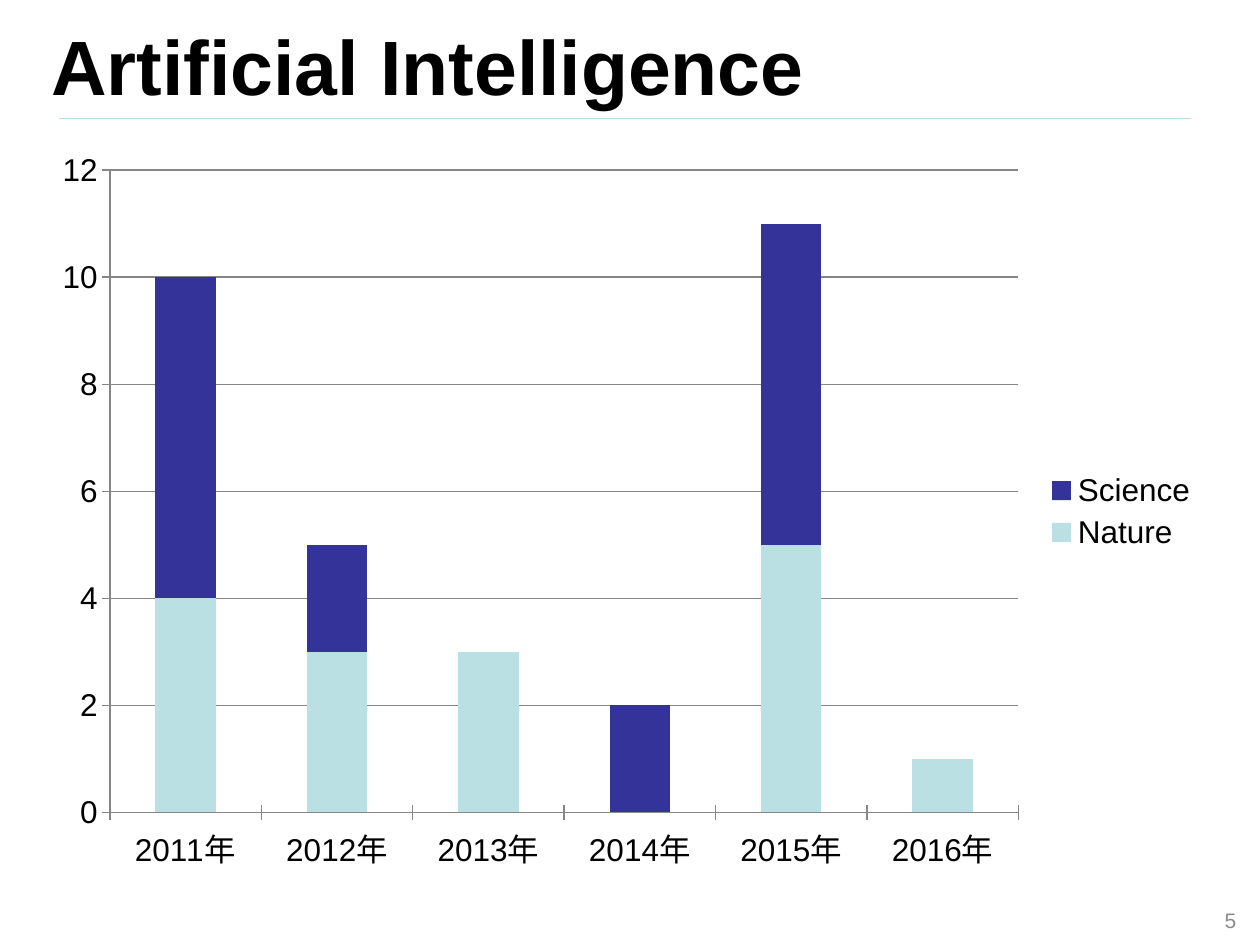
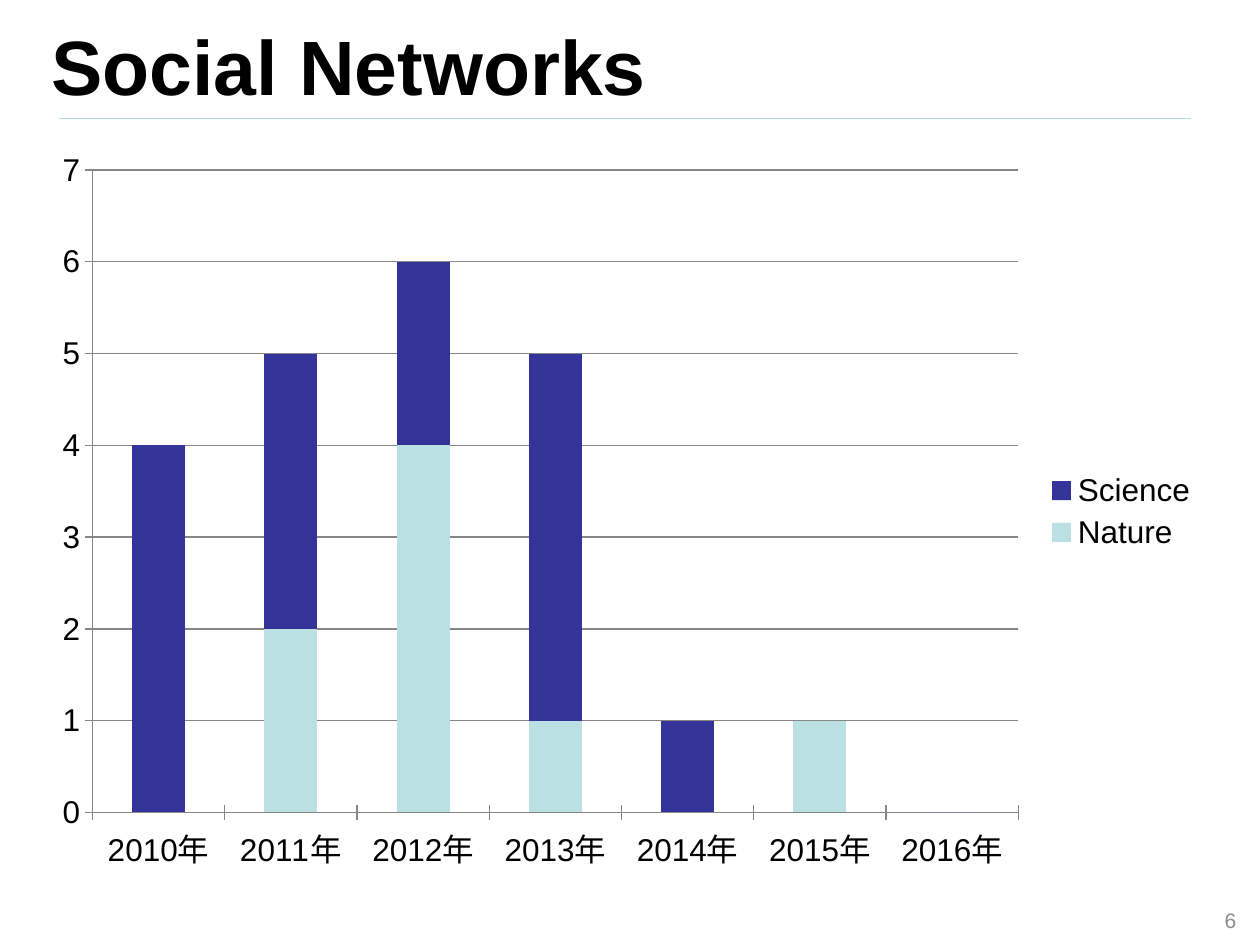
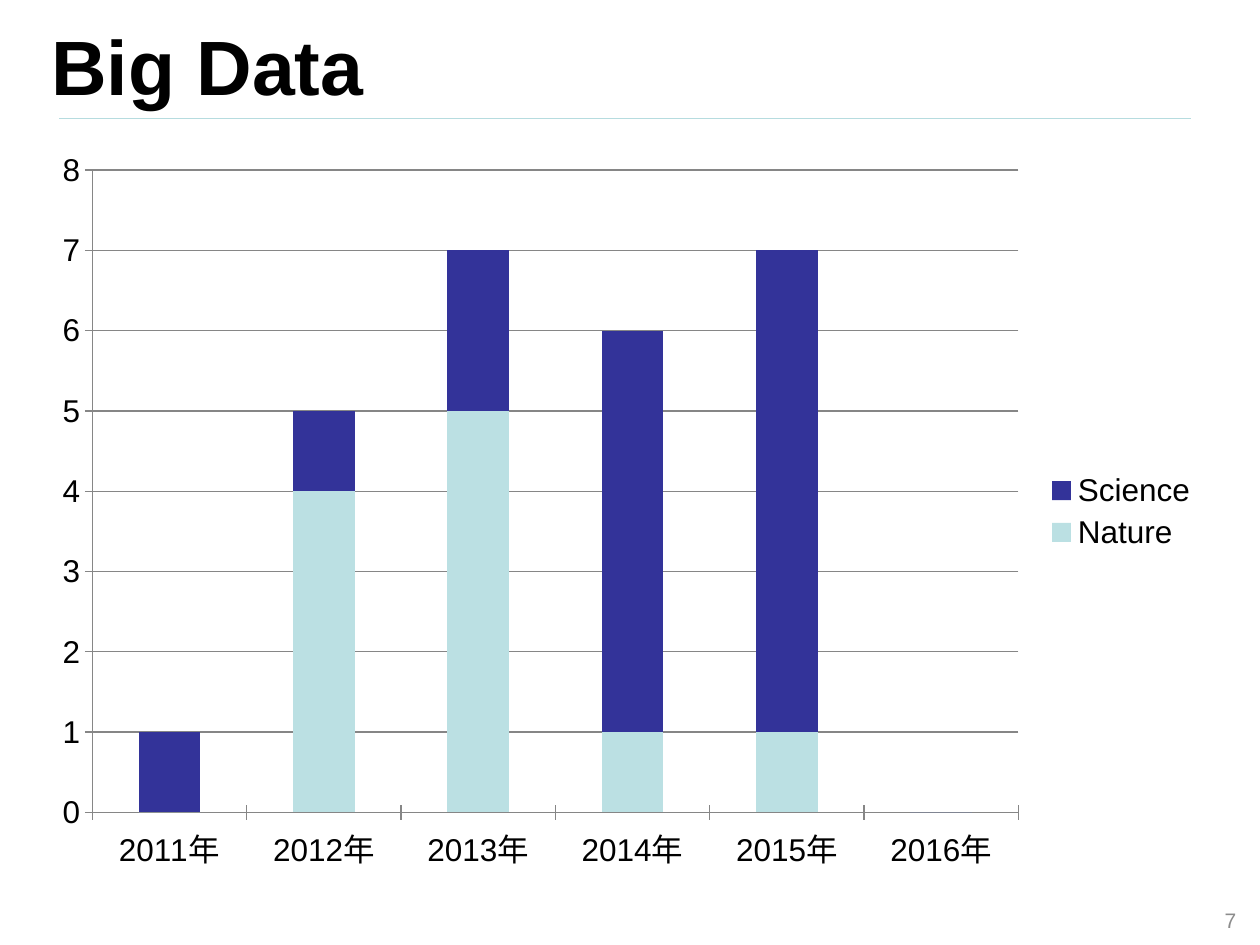
from dataclasses import dataclass

import pptx
import pptx.chart.data
import pptx.dml.color
import pptx.enum.chart
import pptx.enum.shapes
import pptx.enum.text
import pptx.oxml
import pptx.util
from pptx.util import Inches

RGB = pptx.dml.color.RGBColor.from_string


@dataclass(frozen=True)
class Theme:
    font: str = "Arial"
    ink: str = "000000"
    rule: str = "B6DCDF"
    muted: str = "8C8C8C"
    axis: str = "868686"
    nature: str = "BBE0E3"
    science: str = "333399"
    title_size: int = 44
    chart_size: int = 18
    number_size: int = 12


THEME = Theme()
TITLE_BOX = (0.31, 0.08, 9.14, 0.87)
RULE_BOX = (0.47, 0.94, 8.98, 0)
CHART_BOX = (0.31, 1.09, 9.3, 5.94)
NUMBER_BOX = (7.58, 7.1, 2.33, 0.4)

FIRST_NUMBER = 5
TOPICS = [
    ("Artificial Intelligence", 2011, [4, 3, 3, 0, 5, 1], [6, 2, 0, 2, 6, 0], 12, 2),
    ("Social Networks", 2010, [0, 2, 4, 1, 0, 1, 0], [4, 3, 2, 4, 1, 0, 0], 7, 1),
    ("Big Data", 2011, [0, 4, 5, 1, 1, 0], [1, 1, 2, 5, 6, 0], 8, 1),
]


def style_font(font, size, color, bold=False):
    font.name = THEME.font
    font.size = pptx.util.Pt(size)
    font.bold = bold
    font.color.rgb = RGB(color)


def add_text(s, box, text, size, color, bold=False, align="LEFT"):
    tf = s.shapes.add_textbox(*map(Inches, box)).text_frame
    tf.word_wrap = True
    tf.vertical_anchor = pptx.enum.text.MSO_ANCHOR.MIDDLE
    p = tf.paragraphs[0]
    p.alignment = pptx.enum.text.PP_ALIGN[align]
    r = p.add_run()
    r.text = text
    style_font(r.font, size, color, bold)


def add_rule(s, box):
    x, y, w, h = box
    line = s.shapes.add_connector(
        pptx.enum.shapes.MSO_CONNECTOR.STRAIGHT, *map(Inches, (x, y, x + w, y + h))
    )
    line.line.color.rgb = RGB(THEME.rule)
    line.line.width = pptx.util.Pt(0.75)
    effects = pptx.oxml.ns.qn("a:effectLst")
    line._element.spPr.append(pptx.oxml.xmlchemy.OxmlElement("a:effectLst"))


def style_axis_line(fmt):
    fmt.line.color.rgb = RGB(THEME.axis)
    fmt.line.width = pptx.util.Pt(0.75)


def add_paper_chart(s, box, first_year, nature, science, top, step):
    data = pptx.chart.data.CategoryChartData()
    data.categories = [f"{first_year + i}年" for i in range(len(nature))]
    data.add_series("Nature", nature)
    data.add_series("Science", science)
    kind = pptx.enum.chart.XL_CHART_TYPE.COLUMN_STACKED
    chart = s.shapes.add_chart(kind, *map(Inches, box), data).chart
    style_font(chart.font, THEME.chart_size, THEME.ink)
    chart.has_title = False
    chart.has_legend = True
    chart.legend.position = pptx.enum.chart.XL_LEGEND_POSITION.RIGHT
    chart.legend.include_in_layout = False

    plot = chart.plots[0]
    plot.gap_width = 150
    plot.overlap = 100
    plot.vary_by_categories = False
    for series, color in zip(plot.series, (THEME.nature, THEME.science)):
        series.format.fill.solid()
        series.format.fill.fore_color.rgb = RGB(color)

    for axis in (chart.category_axis, chart.value_axis):
        axis.major_tick_mark = pptx.enum.chart.XL_TICK_MARK.CROSS
        style_axis_line(axis.format)
    values = chart.value_axis
    values.minimum_scale, values.maximum_scale = 0, top
    values.major_unit = step
    values.has_major_gridlines = True
    style_axis_line(values.major_gridlines.format)


def add_topic_slide(prs, number, title, *chart_args):
    s = prs.slides.add_slide(prs.slide_layouts[6])
    add_rule(s, RULE_BOX)
    add_text(s, TITLE_BOX, title, THEME.title_size, THEME.ink, bold=True)
    add_text(s, NUMBER_BOX, str(number), THEME.number_size, THEME.muted, align="RIGHT")
    add_paper_chart(s, CHART_BOX, *chart_args)


def main():
    prs = pptx.Presentation()
    prs.slide_width, prs.slide_height = Inches(10), Inches(7.5)
    for number, topic in enumerate(TOPICS, FIRST_NUMBER):
        add_topic_slide(prs, number, *topic)
    prs.save("out.pptx")


if __name__ == "__main__":
    main()
